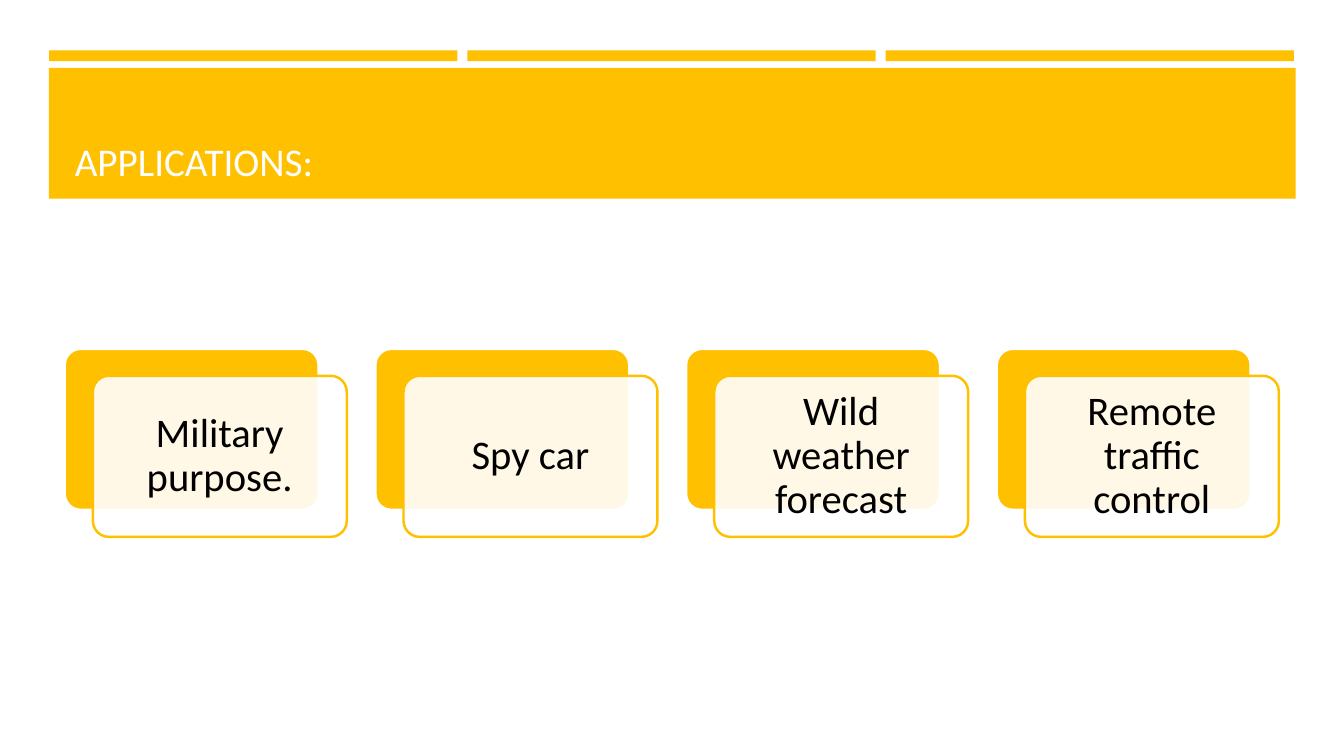
"""Build the slide listing the applications as a row of layered cards."""
from lxml.etree import SubElement
from pptx import Presentation
from pptx.dml.color import RGBColor
from pptx.enum.shapes import MSO_SHAPE as Shape
from pptx.enum.text import MSO_ANCHOR as Anchor, MSO_AUTO_SIZE as AutoSize, PP_ALIGN as Align
from pptx.oxml.ns import qn
from pptx.util import Cm, Pt

AMBER = RGBColor(0xFF, 0xC0, 0x00)
WHITE = RGBColor(0xFF, 0xFF, 0xFF)
TITLE_WHITE = RGBColor(0xFF, 0xFE, 0xFF)
BLACK = RGBColor(0x00, 0x00, 0x00)
FONT = "Calibri"
APPLICATIONS = ["Military purpose.", "Spy car", "Wild weather forecast", "Remote traffic control"]


def format_text(text_frame, size, color, alignment, anchor):
    """Apply one look to all the text in a frame."""
    text_frame.word_wrap = True
    text_frame.auto_size = AutoSize.NONE
    text_frame.vertical_anchor = anchor
    for paragraph in text_frame.paragraphs:
        paragraph.alignment = alignment
        for run in paragraph.runs:
            run.font.name = FONT
            run.font.size = Pt(size)
            run.font.color.rgb = color


def add_block(shapes, kind, left, top, width, height, fill, line=None):
    """Add a filled shape, measured in centimetres, with an optional outline."""
    shape = shapes.add_shape(kind, Cm(left), Cm(top), Cm(width), Cm(height))
    shape.shadow.inherit = False
    shape.fill.solid()
    shape.fill.fore_color.rgb = fill
    if line is None:
        shape.line.fill.background()
    else:
        shape.line.color.rgb = line
        shape.line.width = Pt(1.75)
    return shape


def set_opacity(shape, percent):
    """Make the solid fill of a shape partly transparent."""
    color = shape.fill._xPr.find(qn("a:solidFill"))[0]
    SubElement(color, qn("a:alpha")).set("val", str(percent * 1000))


def add_header(slide, text):
    """Add the three bars, the banner and the title on it."""
    for index in range(3):
        add_block(slide.shapes, Shape.RECTANGLE, 1.24 + index * 10.54, 1.27, 10.29, 0.27, AMBER)
    add_block(slide.shapes, Shape.RECTANGLE, 1.23, 1.71, 31.42, 3.3, AMBER)
    title = slide.shapes.title
    title.left, title.top, title.width, title.height = Cm(1.63), Cm(1.96), Cm(30.63), Cm(2.82)
    title.text_frame.text = text
    format_text(title.text_frame, 28, TITLE_WHITE, Align.LEFT, Anchor.BOTTOM)
    slide.shapes.element.append(title.element)


def add_card(shapes, left, top, text):
    """Add an amber card with a translucent labelled card in front."""
    width, height = 6.4, 4.06
    back = add_block(shapes, Shape.ROUNDED_RECTANGLE, left, top, width, height, AMBER, WHITE)
    front = add_block(shapes, Shape.ROUNDED_RECTANGLE, left + 0.71, top + 0.68,
                      width, height, WHITE, AMBER)
    back.adjustments[0] = front.adjustments[0] = 0.1
    set_opacity(front, 90)
    frame = front.text_frame
    frame.margin_left = frame.margin_right = frame.margin_top = frame.margin_bottom = Cm(0.3)
    frame.text = text
    frame.paragraphs[0].line_spacing = 0.9
    format_text(frame, 29, BLACK, Align.CENTER, Anchor.MIDDLE)


def main():
    """Create the presentation and save it."""
    presentation = Presentation()
    presentation.slide_width, presentation.slide_height = Cm(33.87), Cm(19.05)
    slide = presentation.slides.add_slide(presentation.slide_layouts[5])
    add_header(slide, "APPLICATIONS:")
    cards = slide.shapes.add_group_shape()
    for index, application in enumerate(APPLICATIONS):
        add_card(cards.shapes, 1.63 + index * 7.83, 8.79, application)
    presentation.save("out.pptx")


if __name__ == "__main__":
    main()
